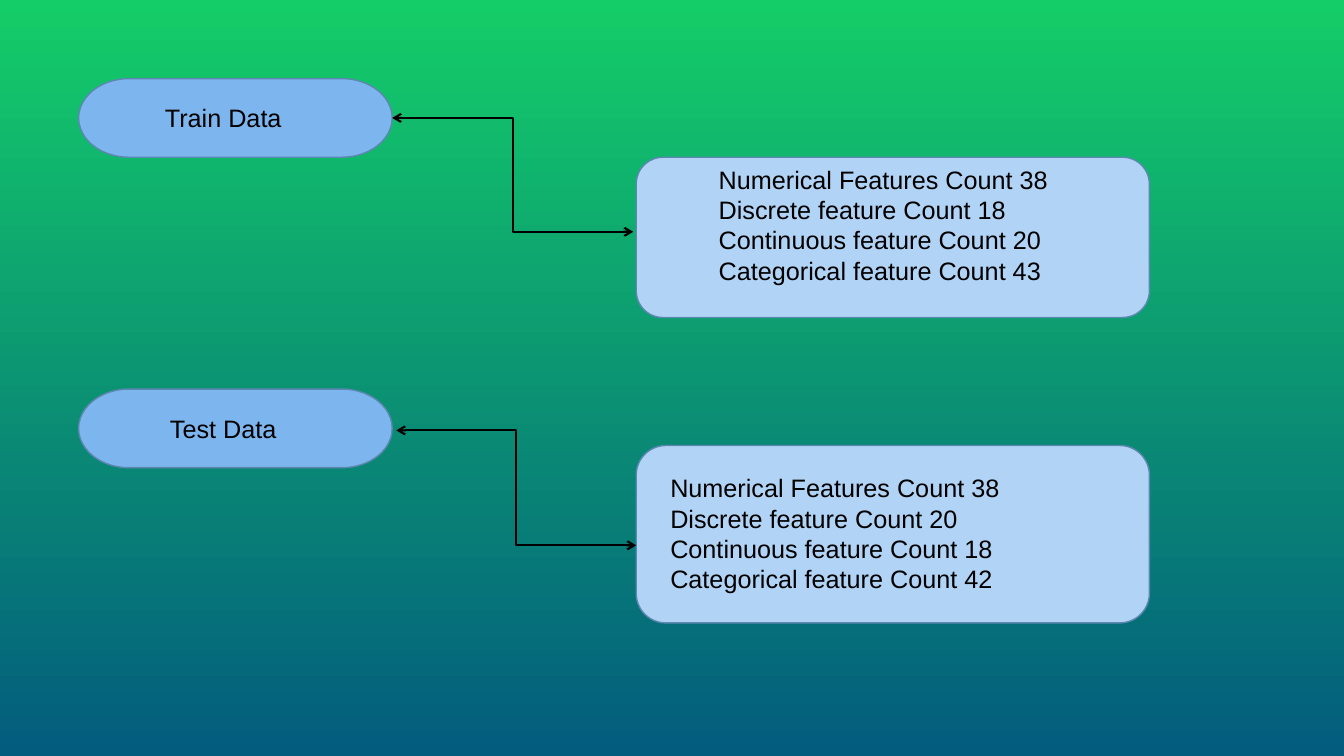
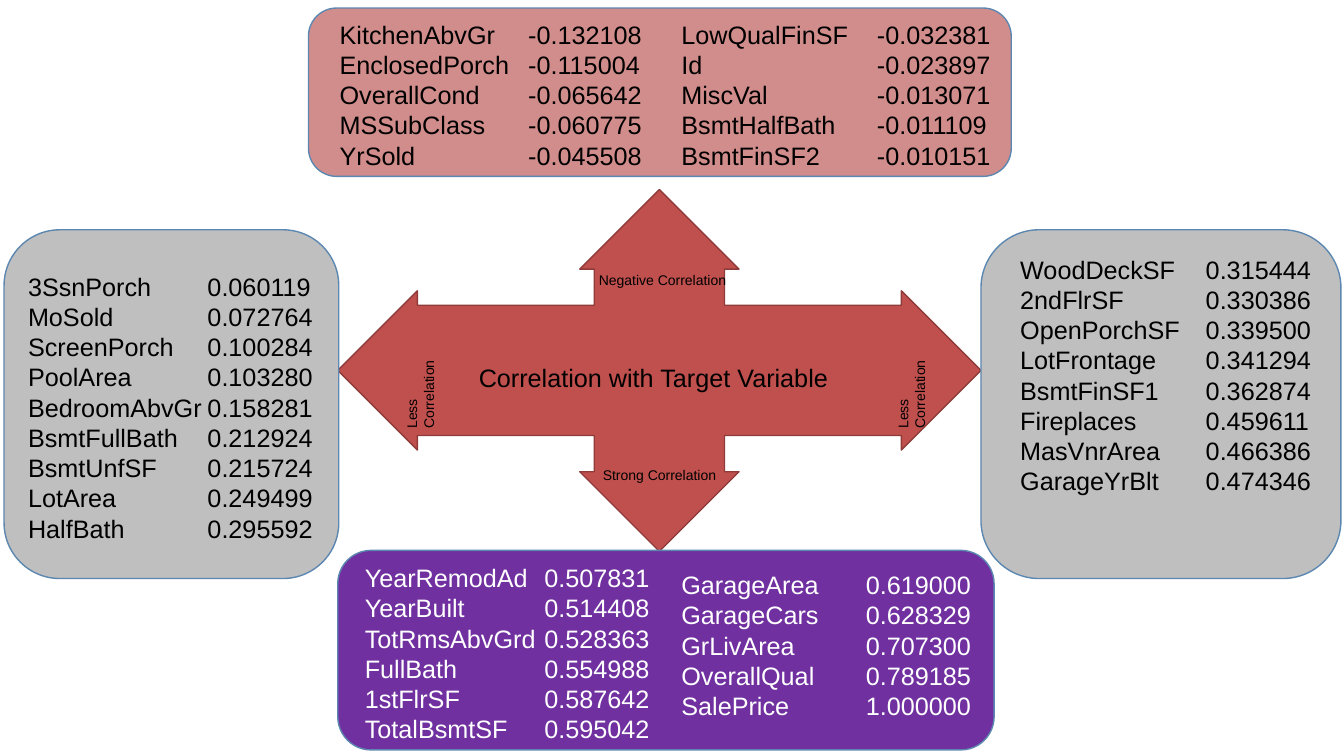
from dataclasses import dataclass

from pptx import Presentation
from pptx.dml.color import RGBColor
from pptx.enum.shapes import MSO_CONNECTOR, MSO_SHAPE
from pptx.enum.text import MSO_ANCHOR, PP_ALIGN
from pptx.oxml.ns import qn
from pptx.util import Inches, Pt
from lxml.etree import SubElement


@dataclass(frozen=True)
class Theme:
    font: str = "Arial"
    body: int = 18
    label: int = 10
    black: str = "000000"
    white: str = "FFFFFF"
    sky_top: str = "14CD68"
    sky_bottom: str = "035C7D"
    terminator: str = "7DB6EF"
    counts: str = "B1D3F5"
    border: str = "5C87B1"
    arrow: str = "C0504D"
    arrow_border: str = "8E3B39"
    negative: str = "D18D8B"
    weak: str = "BFBFBF"
    strong: str = "7030A0"


class Builder:
    def __init__(self, theme):
        self.theme = theme
        self.deck = Presentation()
        self.deck.slide_width = Inches(13.33)
        self.deck.slide_height = Inches(7.5)
        self.page = None

    def new_page(self):
        self.page = self.deck.slides.add_slide(self.deck.slide_layouts[6])

    def gradient(self, top, bottom):
        fill = self.page.background.fill
        fill.gradient()
        fill.gradient_angle = 270
        for stop, color, position in zip(fill.gradient_stops, (top, bottom), (0, 1)):
            stop.color.rgb = RGBColor.from_string(color)
            stop.position = position

    def shape(self, kind, left, top, width, height, fill, border=None):
        box = self.page.shapes.add_shape(
            kind, Inches(left), Inches(top), Inches(width), Inches(height))
        box.shadow.inherit = False
        box.fill.solid()
        box.fill.fore_color.rgb = RGBColor.from_string(fill)
        box.line.color.rgb = RGBColor.from_string(border or self.theme.border)
        box.line.width = Pt(1)
        return box

    def panel(self, left, top, width, height, fill):
        self.shape(MSO_SHAPE.FLOWCHART_ALTERNATE_PROCESS, left, top, width, height, fill)

    def terminator(self, left, top, width, height, text):
        box = self.shape(MSO_SHAPE.FLOWCHART_TERMINATOR, left, top, width, height,
                         self.theme.terminator)
        box.text_frame.margin_right = Inches(0.34)
        box.text_frame.vertical_anchor = MSO_ANCHOR.MIDDLE
        self.add_lines(box.text_frame, [text], align=PP_ALIGN.CENTER)

    def add_lines(self, frame, lines, size=None, color=None, align=PP_ALIGN.LEFT, tab=None):
        frame.word_wrap = True
        for index, line in enumerate(lines):
            para = frame.paragraphs[0] if index == 0 else frame.add_paragraph()
            para.alignment = align
            if tab:
                stops = SubElement(para._p.get_or_add_pPr(), qn("a:tabLst"))
                SubElement(stops, qn("a:tab"), pos=str(Inches(tab)), algn="l")
            span = para.add_run()
            span.text = line
            span.font.name = self.theme.font
            span.font.size = Pt(size or self.theme.body)
            span.font.color.rgb = RGBColor.from_string(color or self.theme.black)

    def text(self, left, top, width, height, lines, **style):
        box = self.page.shapes.add_textbox(
            Inches(left), Inches(top), Inches(width), Inches(height))
        self.add_lines(box.text_frame, lines, **style)
        return box

    def label(self, center_x, center_y, width, height, text, align, rotation=0):
        box = self.text(center_x - width / 2, center_y - height / 2, width, height,
                        [text], size=self.theme.label, align=align)
        box.rotation = rotation

    def features(self, left, top, width, tab, rows, color=None):
        """Names with their correlations lined up at a tab stop."""
        lines = [f"{name}\t{value}" for name, value in rows]
        self.text(left, top, width, 0.1 + 0.3 * len(rows), lines, color=color, tab=tab)

    def elbow(self, start, end):
        """Bent connector with an open arrowhead at both ends."""
        link = self.page.shapes.add_connector(
            MSO_CONNECTOR.ELBOW, *(Inches(value) for value in start + end))
        link.line.color.rgb = RGBColor.from_string(self.theme.black)
        link.line.width = Pt(1.5)
        outline = link.line._get_or_add_ln()
        for tip in ("a:headEnd", "a:tailEnd"):
            SubElement(outline, qn(tip), type="arrow")
        SubElement(link._element.spPr, qn("a:effectLst"))


def feature_counts(builder):
    theme = builder.theme
    builder.new_page()
    builder.gradient(theme.sky_top, theme.sky_bottom)
    groups = [
        # name, top, panel top and height, text left and top, link, counts
        ("Train Data", 0.78, (1.56, 1.59), (7.03, 1.58),
         ((3.89, 1.17), (6.28, 2.3)), (38, 18, 20, 43)),
        ("Test Data", 3.86, (4.42, 1.76), (6.55, 4.64),
         ((3.93, 4.27), (6.31, 5.41)), (38, 20, 18, 42)),
    ]
    kinds = ("Numerical Features", "Discrete feature",
             "Continuous feature", "Categorical feature")
    for name, top, (panel_top, panel_height), corner, link, counts in groups:
        builder.terminator(0.78, top, 3.11, 0.78, name)
        builder.panel(6.31, panel_top, 5.09, panel_height, theme.counts)
        builder.elbow(*link)
        lines = [f"{kind} Count {count}" for kind, count in zip(kinds, counts)]
        builder.text(*corner, 4.27, 1.31, lines)


def target_correlation(builder):
    theme = builder.theme
    builder.new_page()
    cross = builder.shape(MSO_SHAPE.QUAD_ARROW, 3.35, 1.88, 6.38, 3.59,
                          theme.arrow, theme.arrow_border)
    for index, value in enumerate((0.36, 0.22, 0.22)):
        cross.adjustments[index] = value
    builder.text(4.65, 3.55, 3.78, 0.4, ["Correlation with Target Variable"])

    builder.panel(3.06, 0.08, 6.97, 1.67, theme.negative)
    builder.panel(3.35, 5.46, 6.51, 1.98, theme.strong)
    builder.panel(9.73, 2.28, 3.57, 3.46, theme.weak)
    builder.panel(0.04, 2.28, 3.32, 3.46, theme.weak)

    builder.features(3.27, 0.14, 3.39, 1.87, [
        ("KitchenAbvGr", "-0.132108"),
        ("EnclosedPorch", "-0.115004"),
        ("OverallCond", "-0.065642"),
        ("MSSubClass", "-0.060775"),
        ("YrSold", "-0.045508"),
    ])
    builder.features(6.66, 0.14, 3.6, 1.94, [
        ("LowQualFinSF", "-0.032381"),
        ("Id", "-0.023897"),
        ("MiscVal", "-0.013071"),
        ("BsmtHalfBath", "-0.011109"),
        ("BsmtFinSF2", "-0.010151"),
    ])
    builder.features(0.18, 2.64, 3.04, 1.78, [
        ("3SsnPorch", "0.060119"),
        ("MoSold", "0.072764"),
        ("ScreenPorch", "0.100284"),
        ("PoolArea", "0.103280"),
        ("BedroomAbvGr", "0.158281"),
        ("BsmtFullBath", "0.212924"),
        ("BsmtUnfSF", "0.215724"),
        ("LotArea", "0.249499"),
        ("HalfBath", "0.295592"),
    ])
    builder.features(10.02, 2.47, 3.12, 1.84, [
        ("WoodDeckSF", "0.315444"),
        ("2ndFlrSF", "0.330386"),
        ("OpenPorchSF", "0.339500"),
        ("LotFrontage", "0.341294"),
        ("BsmtFinSF1", "0.362874"),
        ("Fireplaces", "0.459611"),
        ("MasVnrArea", "0.466386"),
        ("GarageYrBlt", "0.474346"),
    ])
    builder.features(3.52, 5.53, 3.07, 1.78, [
        ("YearRemodAd", "0.507831"),
        ("YearBuilt", "0.514408"),
        ("TotRmsAbvGrd", "0.528363"),
        ("FullBath", "0.554988"),
        ("1stFlrSF", "0.587642"),
        ("TotalBsmtSF", "0.595042"),
    ], theme.white)
    builder.features(6.66, 5.6, 3.1, 1.83, [
        ("GarageArea", "0.619000"),
        ("GarageCars", "0.628329"),
        ("GrLivArea", "0.707300"),
        ("OverallQual", "0.789185"),
        ("SalePrice", "1.000000"),
    ], theme.white)

    builder.label(6.57, 2.78, 2.15, 0.27, "Negative Correlation", PP_ALIGN.CENTER)
    builder.label(6.54, 4.71, 2.15, 0.27, "Strong Correlation", PP_ALIGN.CENTER)
    for center_x in (4.16, 9.03):
        builder.label(center_x, 3.8, 1.1, 0.42, "Less Correlation",
                      PP_ALIGN.LEFT, rotation=270)


def main():
    builder = Builder(Theme())
    feature_counts(builder)
    target_correlation(builder)
    builder.deck.save("out.pptx")


if __name__ == "__main__":
    main()
